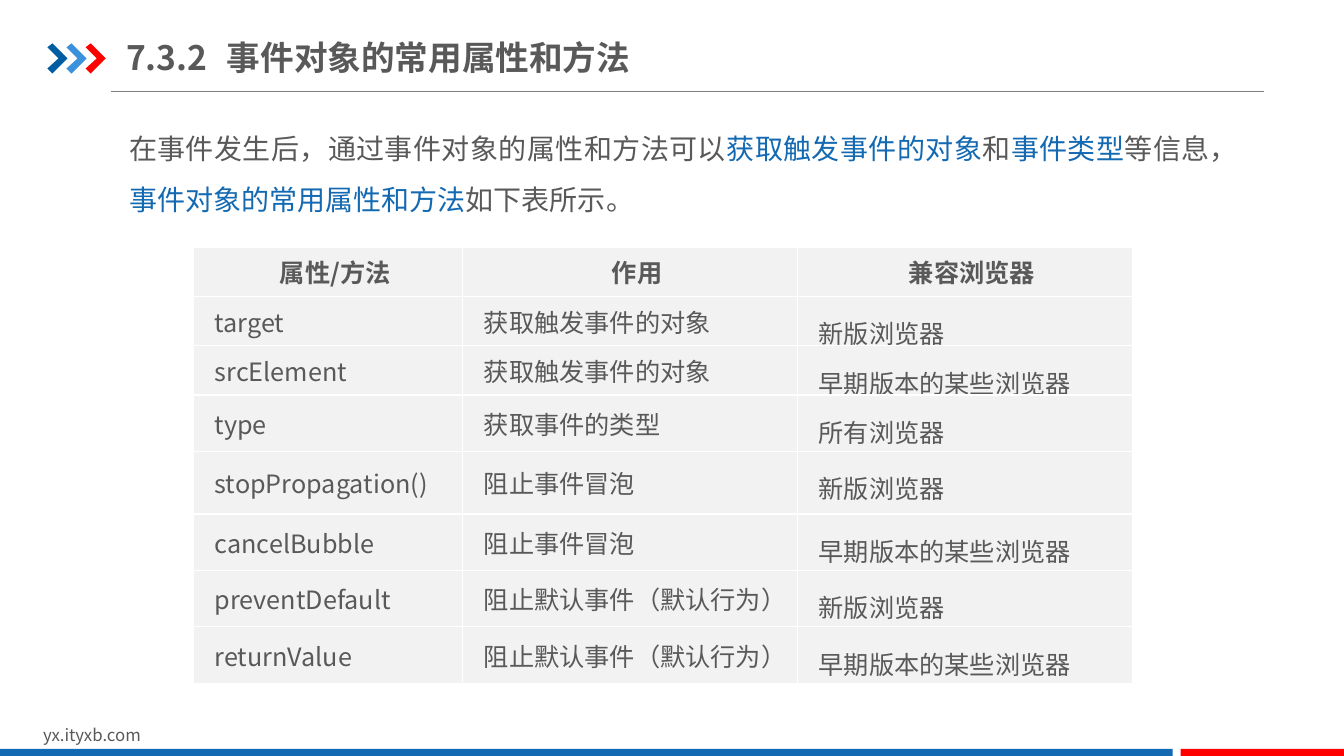
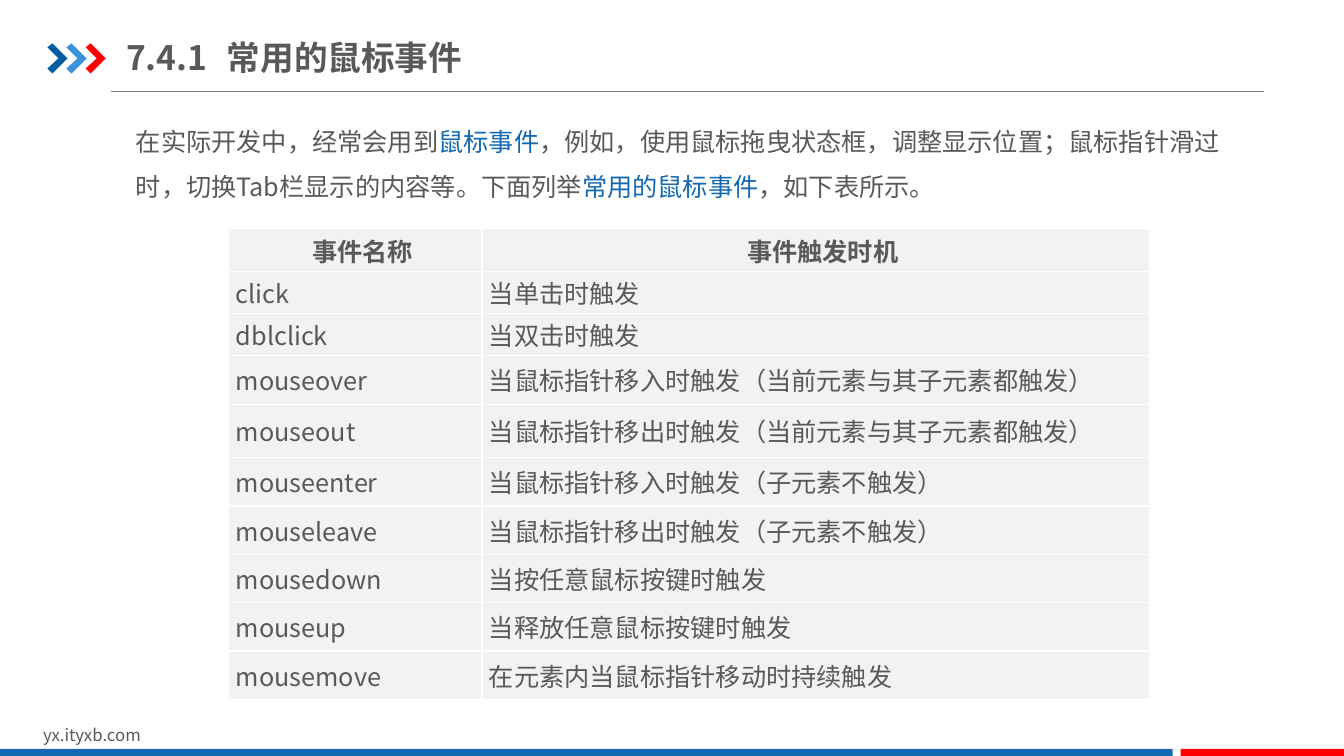
import lxml.etree
import pptx
import pptx.dml.color
import pptx.enum.shapes
import pptx.enum.text
import pptx.oxml.ns
import pptx.util

Inches = pptx.util.Inches
Pt = pptx.util.Pt
ALIGN = pptx.enum.text.PP_ALIGN
ANCHOR = pptx.enum.text.MSO_ANCHOR
AUTO_SIZE = pptx.enum.text.MSO_AUTO_SIZE
qn = pptx.oxml.ns.qn


def rgb(hex_text):
    return pptx.dml.color.RGBColor.from_string(hex_text)


class Lesson:
    """Holds the house style, the deck and the slide being built."""

    FONT = "Noto Sans CJK SC"
    GREY, BLUE, RED = "595959", "1369B2", "FF0000"
    RULE, CELL, WHITE = "808080", "F2F2F2", "FFFFFF"
    CHEVRONS = ("005DA2", "3992DB", RED)
    CHEVRON_OUTLINE = ((0.47, 0.47), (0.52, 0.43), (0.67, 0.58),
                       (0.52, 0.73), (0.47, 0.68), (0.58, 0.58))

    def __init__(self):
        self.deck = pptx.Presentation()
        self.deck.slide_width = Inches(13.33)
        self.deck.slide_height = Inches(7.5)
        self.slide = None

    def add_slide(self, title, title_width):
        self.slide = self.deck.slides.add_slide(self.deck.slide_layouts[5])
        self.add_rule()
        for index, color in enumerate(self.CHEVRONS):
            self.add_chevron(0.19 * index, color)
        self.add_text(0.33, 7.14, 3.18, 0.3, "yx.ityxb.com", 12)
        self.add_band(0, 11.63, self.BLUE)
        self.add_band(11.71, 1.63, self.RED)
        self.set_title(title, title_width)

    def set_title(self, text, width):
        box = self.slide.shapes.title
        box.left, box.top = Inches(1.25), Inches(0.29)
        box.width, box.height = Inches(width), Inches(0.55)
        frame = box.text_frame
        frame.text = text
        frame.auto_size = AUTO_SIZE.NONE
        frame.vertical_anchor = ANCHOR.MIDDLE
        self.set_margins(frame, 0, 0.07)
        para = frame.paragraphs[0]
        para.alignment = ALIGN.LEFT
        self.style(para, 24, bold=True)

    def add_rule(self):
        rule = self.slide.shapes.add_connector(
            pptx.enum.shapes.MSO_CONNECTOR.STRAIGHT,
            Inches(1.1), Inches(0.91), Inches(12.54), Inches(0.91))
        rule.line.color.rgb = rgb(self.RULE)
        rule.line.width = Pt(0.75)
        lxml.etree.SubElement(rule.element.spPr, qn("a:effectLst"))

    def add_chevron(self, shift, color):
        points = [(Inches(x + shift), Inches(y))
                  for x, y in self.CHEVRON_OUTLINE]
        builder = self.slide.shapes.build_freeform(*points[0])
        builder.add_line_segments(points[1:], close=True)
        self.paint(builder.convert_to_shape(), color)

    def add_band(self, left, width, color):
        band = self.slide.shapes.add_shape(
            pptx.enum.shapes.MSO_SHAPE.RECTANGLE,
            Inches(left), Inches(7.43), Inches(width), Inches(0.09))
        self.paint(band, color)

    def add_text(self, left, top, width, height, text, size,
                 spacing=None, align=None, margins=(0.1, 0.05)):
        """Add a text box; the parts of text between bars are blue."""
        box = self.slide.shapes.add_textbox(
            Inches(left), Inches(top), Inches(width), Inches(height))
        frame = box.text_frame
        frame.word_wrap = True
        frame.auto_size = AUTO_SIZE.SHAPE_TO_FIT_TEXT
        self.set_margins(frame, *margins)
        para = frame.paragraphs[0]
        para.alignment, para.line_spacing = align, spacing
        self.style(para, size)
        for index, part in enumerate(text.split("|")):
            span = para.add_run()
            span.text = part
            if index % 2:
                span.font.color.rgb = rgb(self.BLUE)

    def add_table(self, left, top, widths, heights, rows,
                  body_indent=0, loose_column=None):
        """Add a table; loose_column is top-aligned with wide line spacing."""
        table = self.slide.shapes.add_table(
            len(rows), len(widths), Inches(left), Inches(top),
            Inches(sum(widths)), Inches(sum(heights))).table
        table.first_row = table.horz_banding = False
        for column, width in zip(table.columns, widths):
            column.width = Inches(width)
        for row, height in zip(table.rows, heights):
            row.height = Inches(height)
        for row_index, texts in enumerate(rows):
            header = row_index == 0
            for column_index, text in enumerate(texts):
                self.fill_cell(
                    table.cell(row_index, column_index), text, header,
                    0.14 if header else body_indent,
                    column_index == loose_column and not header)

    def fill_cell(self, cell, text, header, indent, loose):
        cell.text = text
        cell.vertical_anchor = ANCHOR.TOP if loose else ANCHOR.MIDDLE
        self.set_margins(cell, 0.07, 0)
        self.add_borders(cell)
        cell.fill.solid()
        cell.fill.fore_color.rgb = rgb(self.CELL)
        para = cell.text_frame.paragraphs[0]
        para.alignment = ALIGN.CENTER if header else ALIGN.LEFT
        if loose:
            para.line_spacing = 1.5
        properties = para._p.get_or_add_pPr()
        properties.set("marL", "0")
        properties.set("indent", str(Inches(indent)))
        self.style(para, 18, bold=header)

    def add_borders(self, cell):
        properties = cell._tc.get_or_add_tcPr()
        for side in ("lnL", "lnR", "lnT", "lnB"):
            border = lxml.etree.SubElement(
                properties, qn("a:" + side), w=str(Pt(1)))
            fill = lxml.etree.SubElement(border, qn("a:solidFill"))
            lxml.etree.SubElement(fill, qn("a:srgbClr"), val=self.WHITE)

    def style(self, para, size, bold=False):
        font = para.font
        font.name, font.size, font.bold = self.FONT, Pt(size), bold
        font.color.rgb = rgb(self.GREY)
        lxml.etree.SubElement(
            para._p.pPr.find(qn("a:defRPr")), qn("a:ea"), typeface=self.FONT)

    @staticmethod
    def set_margins(holder, across, down):
        holder.margin_left = holder.margin_right = Inches(across)
        holder.margin_top = holder.margin_bottom = Inches(down)

    @staticmethod
    def paint(shape, color):
        shape.shadow.inherit = False
        shape.fill.solid()
        shape.fill.fore_color.rgb = rgb(color)
        shape.line.fill.background()


def add_event_object_slide(lesson):
    lesson.add_slide("7.3.2\t事件对象的常用属性和方法", 5.08)
    lesson.add_text(
        1.15, 1.07, 11.26, 1.14,
        "在事件发生后，通过事件对象的属性和方法可以|获取触发事件的对象|和"
        "|事件类型|等信息，|事件对象的常用属性和方法|如下表所示。",
        20, spacing=1.5, align=ALIGN.JUSTIFY, margins=(0.13, 0.07))
    new, early = "新版浏览器", "早期版本的某些浏览器"
    rows = [
        ("属性/方法", "作用", "兼容浏览器"),
        ("target", "获取触发事件的对象", new),
        ("srcElement", "获取触发事件的对象", early),
        ("type", "获取事件的类型", "所有浏览器"),
        ("stopPropagation()", "阻止事件冒泡", new),
        ("cancelBubble", "阻止事件冒泡", early),
        ("preventDefault", "阻止默认事件（默认行为）", new),
        ("returnValue", "阻止默认事件（默认行为）", early),
    ]
    heights = [0.49] * 3 + [0.56, 0.62] + [0.56] * 3
    lesson.add_table(1.92, 2.45, [2.67, 3.32, 3.32], heights, rows,
                     body_indent=0.14, loose_column=2)


def add_mouse_event_slide(lesson):
    lesson.add_slide("7.4.1\t常用的鼠标事件", 3.53)
    lesson.add_text(
        1.25, 1.05, 11.16, 1.01,
        "在实际开发中，经常会用到|鼠标事件|，例如，使用鼠标拖曳状态框，"
        "调整显示位置；鼠标指针滑过时，切换Tab栏显示的内容等。下面列举"
        "|常用的鼠标事件|，如下表所示。",
        18, spacing=1.5)
    rows = [
        ("事件名称", "事件触发时机"),
        ("click", "当单击时触发"),
        ("dblclick", "当双击时触发"),
        ("mouseover", "当鼠标指针移入时触发（当前元素与其子元素都触发）"),
        ("mouseout", "当鼠标指针移出时触发（当前元素与其子元素都触发）"),
        ("mouseenter", "当鼠标指针移入时触发（子元素不触发）"),
        ("mouseleave", "当鼠标指针移出时触发（子元素不触发）"),
        ("mousedown", "当按任意鼠标按键时触发"),
        ("mouseup", "当释放任意鼠标按键时触发"),
        ("mousemove", "在元素内当鼠标指针移动时持续触发"),
    ]
    heights = [0.42] * 3 + [0.48, 0.53] + [0.48] * 5
    lesson.add_table(2.27, 2.27, [2.51, 6.62], heights, rows)


def main():
    lesson = Lesson()
    add_event_object_slide(lesson)
    add_mouse_event_slide(lesson)
    lesson.deck.save("out.pptx")


if __name__ == "__main__":
    main()
